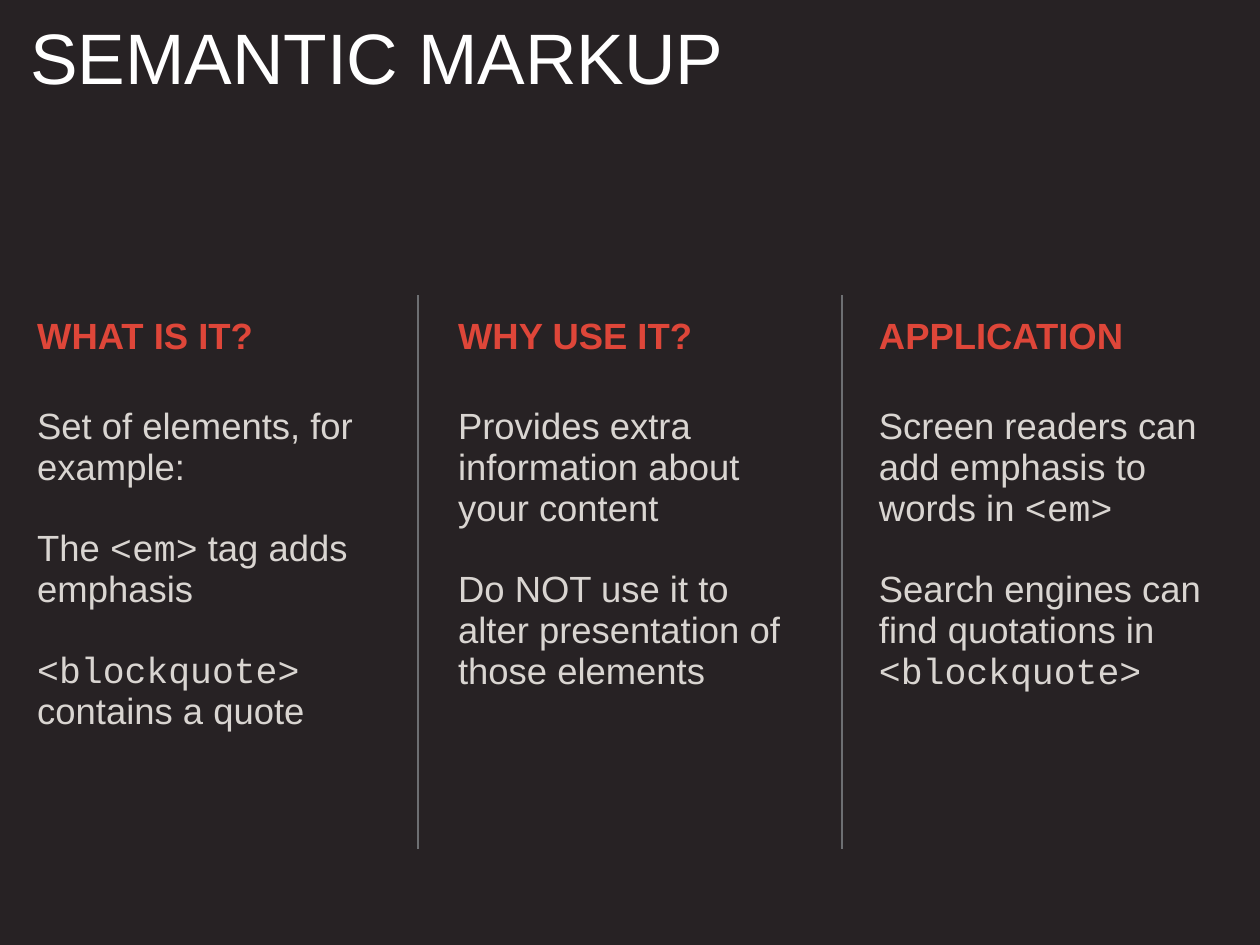
from lxml import etree
from pptx import Presentation
from pptx.dml.color import RGBColor
from pptx.enum.shapes import MSO_CONNECTOR
from pptx.enum.text import MSO_ANCHOR, MSO_AUTO_SIZE, PP_ALIGN
from pptx.oxml.ns import qn
from pptx.util import Inches, Pt

TOP, MIDDLE = MSO_ANCHOR.TOP, MSO_ANCHOR.MIDDLE
LEFT, NO_FIT = PP_ALIGN.LEFT, MSO_AUTO_SIZE.NONE
STRAIGHT = MSO_CONNECTOR.STRAIGHT

# Content: code is set between backticks
TITLE = "SEMANTIC MARKUP"
COLUMNS = [
    ("WHAT IS IT?", ["Set of elements, for example:",
                     "The `<em>` tag adds emphasis",
                     "`<blockquote>`\ncontains a quote"]),
    ("WHY USE IT?", ["Provides extra information about your content",
                     "Do NOT use it to alter presentation of those elements"]),
    ("APPLICATION", ["Screen readers can add emphasis to words in `<em>`",
                     "Search engines can find quotations in `<blockquote>`"]),
]

# Layout in inches, type in points
WIDTH, HEIGHT = 14.22, 10.66
COLUMN_STEP, COLUMN_WIDTH = 4.75, 4.72
HEADING_TOP, HEADING_HEIGHT = 3.12, 1.36
BODY_TOP, BODY_HEIGHT = 4.17, 5.07
RULE_LEFTS, RULE_TOP, RULE_BOTTOM = (4.72, 9.5), 3.33, 9.58
TITLE_SIZE, TEXT_SIZE, LINE_GAP = 58, 29.6, 32
BACKGROUND, WHITE, RED, SAND, GREY = "272224", "FFFFFF", "DE4639", "D9D5D1", "6D6F72"


def color(value):
    return RGBColor.from_string(value)


def set_frame(frame, inset, anchor):
    frame.word_wrap = True
    frame.auto_size = NO_FIT
    frame.vertical_anchor = anchor
    frame.margin_left = frame.margin_right = Inches(inset)
    frame.margin_top = frame.margin_bottom = Inches(inset)


def write(para, text, size, value, spacing, bold=False):
    para.alignment = LEFT
    para.line_spacing = spacing
    para.font.name = "Arial"
    para.font.size = Pt(size)
    para.font.bold = bold
    para.font.color.rgb = color(value)
    for line_index, line in enumerate(text.split("\n")):
        if line_index:
            para.add_line_break()
        for span_index, part in enumerate(line.split("`")):
            if part:
                span = para.add_run()
                span.text = part
                if span_index % 2:
                    span.font.name = "Courier New"


def add_text(page, left, top, height, paragraphs, value, anchor, bold=False):
    box = page.shapes.add_textbox(Inches(left), Inches(top),
                                  Inches(COLUMN_WIDTH), Inches(height))
    frame = box.text_frame
    set_frame(frame, 0.42, anchor)
    for index, text in enumerate(paragraphs):
        para = frame.add_paragraph() if index else frame.paragraphs[0]
        if index:
            para.space_before = Pt(LINE_GAP)
        write(para, text, TEXT_SIZE, value, 0.94, bold)


def main():
    deck = Presentation()
    deck.slide_width, deck.slide_height = Inches(WIDTH), Inches(HEIGHT)
    page = deck.slides.add_slide(deck.slide_layouts[5])
    page.background.fill.solid()
    page.background.fill.fore_color.rgb = color(BACKGROUND)

    # Rules between the columns
    for left in RULE_LEFTS:
        rule = page.shapes.add_connector(STRAIGHT, Inches(left), Inches(RULE_TOP),
                                         Inches(left), Inches(RULE_BOTTOM))
        rule.line.color.rgb = color(GREY)
        rule.line.width = Pt(2)
        etree.SubElement(rule._element.spPr, qn("a:effectLst"))

    # Title
    title = page.shapes.title
    title.left = title.top = Inches(0.28)
    title.width, title.height = Inches(WIDTH - 0.61), Inches(1.11)
    set_frame(title.text_frame, 0.06, TOP)
    write(title.text_frame.paragraphs[0], TITLE, TITLE_SIZE, WHITE, 0.8)

    # Columns: heading and text
    for index, (heading, paragraphs) in enumerate(COLUMNS):
        left = index * COLUMN_STEP
        add_text(page, left, HEADING_TOP, HEADING_HEIGHT, [heading], RED, MIDDLE, True)
        add_text(page, left, BODY_TOP, BODY_HEIGHT, paragraphs, SAND, TOP)

    deck.save("out.pptx")


if __name__ == "__main__":
    main()
